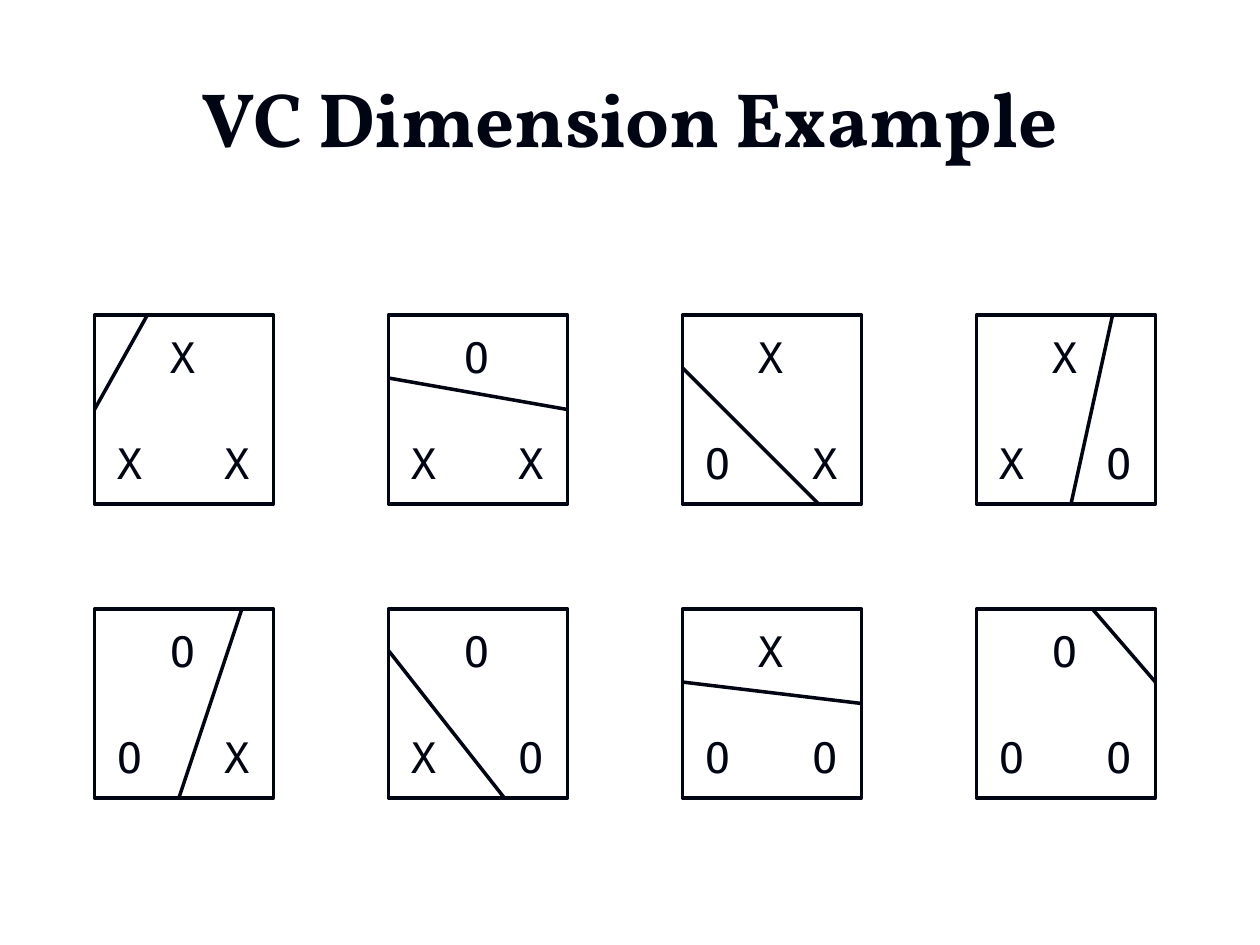
from dataclasses import dataclass

from lxml.etree import SubElement
from pptx import Presentation
from pptx.dml.color import RGBColor
from pptx.enum.shapes import MSO_CONNECTOR, MSO_SHAPE
from pptx.enum.text import MSO_ANCHOR, MSO_AUTO_SIZE, PP_ALIGN
from pptx.oxml.ns import qn
from pptx.util import Inches, Pt


@dataclass(frozen=True)
class Theme:
    ink: RGBColor = RGBColor(0x00, 0x05, 0x14)
    title_font: str = "Vollkorn"
    title_size: Pt = Pt(44)
    mark_font: str = "DejaVu Sans Mono"
    mark_size: Pt = Pt(24)
    line_width: Pt = Pt(2)


PANEL_WIDTH, PANEL_HEIGHT = 1.42, 1.5
FIRST_LEFT, FIRST_TOP = 0.75, 2.5
PITCH = 7 / 3
COLUMNS = 4

# Offsets inside a panel: top, bottom left, bottom right.
MARK_OFFSETS = [(0.5, 0.08), (0.08, 0.92), (0.93, 0.92)]

# Labelling of the three points, then the start and end of its separating line.
PANELS = [
    ("XXX", (0.42, 0), (0, 0.75)),
    ("OXX", (0, 0.5), (PANEL_WIDTH, 0.75)),
    ("XOX", (0, 0.42), (1.08, PANEL_HEIGHT)),
    ("XXO", (0.75, PANEL_HEIGHT), (1.08, 0)),
    ("OOX", (1.17, 0), (0.67, PANEL_HEIGHT)),
    ("OXO", (0, 0.33), (0.92, PANEL_HEIGHT)),
    ("XOO", (0, 0.58), (PANEL_WIDTH, 0.75)),
    ("OOO", (0.92, 0), (PANEL_WIDTH, 0.58)),
]


class SlideBuilder:
    def __init__(self, slide, theme):
        self.slide = slide
        self.theme = theme

    def text(self, text, left, top, width, height, font_name, size, bold=False):
        shape = self.slide.shapes.add_textbox(
            Inches(left), Inches(top), Inches(width), Inches(height))
        shape.text_frame.text = text
        font = shape.text_frame.paragraphs[0].runs[0].font
        font.name = font_name
        font.size = size
        font.bold = bold
        font.color.rgb = self.theme.ink
        return shape.text_frame

    def title(self, text):
        frame = self.text(text, 0.5, 0.3, 9, 1.25,
                          self.theme.title_font, self.theme.title_size, bold=True)
        frame.word_wrap = True
        frame.vertical_anchor = MSO_ANCHOR.MIDDLE
        frame.paragraphs[0].alignment = PP_ALIGN.CENTER

    def mark(self, text, left, top):
        frame = self.text(text, left, top, 0.4, 0.5,
                          self.theme.mark_font, self.theme.mark_size)
        frame.word_wrap = False
        frame.auto_size = MSO_AUTO_SIZE.SHAPE_TO_FIT_TEXT

    def frame(self, left, top):
        shape = self.slide.shapes.add_shape(
            MSO_SHAPE.RECTANGLE, Inches(left), Inches(top),
            Inches(PANEL_WIDTH), Inches(PANEL_HEIGHT))
        shape.shadow.inherit = False
        shape.fill.background()
        self.stroke(shape)

    def separator(self, start, end):
        points = [Inches(value) for value in (*start, *end)]
        connector = self.slide.shapes.add_connector(MSO_CONNECTOR.STRAIGHT, *points)
        self.stroke(connector)
        SubElement(connector._element.spPr, qn("a:effectLst"))

    def stroke(self, shape):
        shape.line.color.rgb = self.theme.ink
        shape.line.width = self.theme.line_width

    def panel(self, left, top, labels, start, end):
        self.frame(left, top)
        for label, (x, y) in zip(labels, MARK_OFFSETS):
            self.mark(label, left + x, top + y)
        self.separator((left + start[0], top + start[1]),
                       (left + end[0], top + end[1]))


def main():
    presentation = Presentation()
    presentation.slide_width = Inches(10)
    presentation.slide_height = Inches(7.5)
    slide = presentation.slides.add_slide(presentation.slide_layouts[6])
    builder = SlideBuilder(slide, Theme())

    builder.title("VC Dimension Example")
    for index, (labels, start, end) in enumerate(PANELS):
        row, column = divmod(index, COLUMNS)
        builder.panel(FIRST_LEFT + column * PITCH, FIRST_TOP + row * PITCH,
                      labels, start, end)

    presentation.save("out.pptx")


if __name__ == "__main__":
    main()
